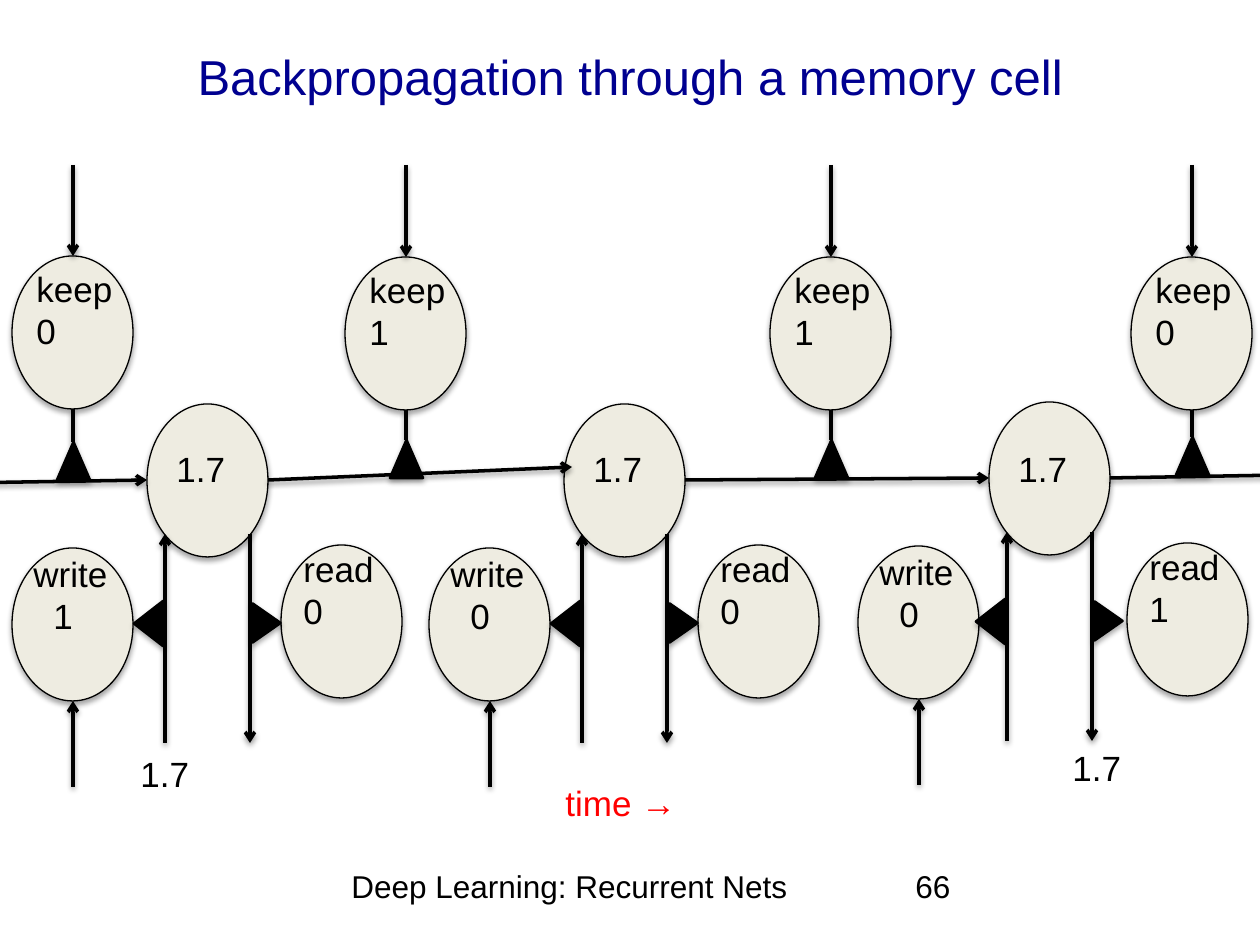
import dataclasses

import lxml.etree
import pptx
import pptx.dml.color
import pptx.enum.shapes
import pptx.enum.text
import pptx.oxml.ns
import pptx.util

SHAPE = pptx.enum.shapes.MSO_SHAPE
ALIGN = pptx.enum.text.PP_ALIGN
ANCHOR = pptx.enum.text.MSO_ANCHOR
FIT = pptx.enum.text.MSO_AUTO_SIZE
qn = pptx.oxml.ns.qn

EMU_PER_PX = 914400 / 126
NODE_WIDTH, NODE_HEIGHT = 121, 153
NODE_MIDDLE = 61


@dataclasses.dataclass(frozen=True)
class Theme:
    font: str = "Arial"
    title_color: str = "000090"
    ink: str = "000000"
    node_fill: str = "EEECE1"
    time_color: str = "FF0000"
    title_size: int = 28
    label_size: int = 20
    footer_size: int = 18
    node_line: float = 0.75
    gate_line: float = 1.5
    arrow_line: float = 2


def px(length):
    return pptx.util.Emu(round(length * EMU_PER_PX))


def rgb(color):
    return pptx.dml.color.RGBColor.from_string(color)


def format_text(para, text, *, font, size, color, align=ALIGN.LEFT, indent=0):
    para.alignment = align
    if indent:
        para._p.get_or_add_pPr().set("marL", str(px(indent)))
    span = para.add_run()
    span.text = text
    span.font.name = font
    span.font.size = pptx.util.Pt(size)
    span.font.color.rgb = rgb(color)


def add_shadow(item, color, distance, alpha):
    properties = item._element.spPr
    effects = properties.find(qn("a:effectLst"))
    if effects is None:
        effects = lxml.etree.SubElement(properties, qn("a:effectLst"))
    shadow = lxml.etree.SubElement(
        effects, qn("a:outerShdw"), blurRad="40000", dist=str(distance),
        dir="5400000", rotWithShape="0")
    tint = lxml.etree.SubElement(shadow, qn("a:srgbClr"), val=color)
    lxml.etree.SubElement(tint, qn("a:alpha"), val=str(alpha * 1000))


class MemoryCellSlide:
    """Draws the parts of an unrolled memory cell on one slide."""

    def __init__(self, page, theme):
        self.page = page
        self.theme = theme

    def text(self, lines, left, top, width, height, *, size=None, color=None,
             align=ALIGN.LEFT, anchor=ANCHOR.TOP, grow=True, last_indent=0):
        box = self.page.shapes.add_textbox(px(left), px(top), px(width), px(height))
        frame = box.text_frame
        frame.word_wrap = True
        frame.vertical_anchor = anchor
        frame.auto_size = FIT.SHAPE_TO_FIT_TEXT if grow else FIT.NONE
        for index, line in enumerate(lines):
            para = frame.add_paragraph() if index else frame.paragraphs[0]
            format_text(para, line, font=self.theme.font,
                        size=size or self.theme.label_size,
                        color=color or self.theme.ink, align=align,
                        indent=last_indent if index else 0)

    def shape(self, kind, left, top, width, height, *, fill, line, rotation=0):
        shape = self.page.shapes.add_shape(kind, px(left), px(top), px(width), px(height))
        shape.rotation = rotation
        shape.fill.solid()
        shape.fill.fore_color.rgb = rgb(fill)
        shape.line.color.rgb = rgb(self.theme.ink)
        shape.line.width = pptx.util.Pt(line)
        shape.shadow.inherit = False
        add_shadow(shape, self.theme.ink, 23000, 35)

    def node(self, left, top):
        self.shape(SHAPE.OVAL, left, top, NODE_WIDTH, NODE_HEIGHT,
                   fill=self.theme.node_fill, line=self.theme.node_line)

    def triangle(self, left, top, width, height, rotation=0):
        self.shape(SHAPE.ISOSCELES_TRIANGLE, left, top, width, height,
                   fill=self.theme.ink, line=self.theme.gate_line, rotation=rotation)

    def line(self, start, end, arrow=True):
        line = self.page.shapes.add_connector(
            pptx.enum.shapes.MSO_CONNECTOR.STRAIGHT,
            *(px(value) for value in (*start, *end)))
        line.line.color.rgb = rgb(self.theme.ink)
        line.line.width = pptx.util.Pt(self.theme.arrow_line)
        if arrow:
            outline = line._element.spPr.find(qn("a:ln"))
            lxml.etree.SubElement(outline, qn("a:tailEnd"), type="arrow")
        add_shadow(line, self.theme.ink, 20000, 38)

    def memory_cell(self, left, top, write, read, gate_shift=0):
        write_left = left - 135 + gate_shift
        read_left = left + 134 + gate_shift
        self.node(left, top)
        self.line((left + 18, top + 339), (left + 18, top + 130))
        self.line((left + 103, top + 130), (left + 103, top + 339))
        self.node(read_left, top + 141)
        self.node(write_left, top + 144)
        self.text(["read", read], read_left + 10, top + 137, 142, 97)
        self.text(["write", write], write_left + 9, top + 142, 101, 97, last_indent=20)
        self.triangle(left + 100, top + 205, 39, 28, rotation=90)
        self.triangle(left - 21, top + 205, 45, 29, rotation=270)
        self.text(["1.7"], left + 17, 441, 87, 55)
        entry = write_left + NODE_MIDDLE
        self.line((entry, top + 383), (entry, top + 297))

    def keep_gate(self, left, top, triangle_top, keep):
        middle = left + NODE_MIDDLE
        self.node(left, top)
        self.text(["keep", keep], left + 12, top + 5, 110, 97)
        self.triangle(left + 45, triangle_top, 33, 38)
        self.line((middle, triangle_top), (middle, top + NODE_HEIGHT), arrow=False)
        self.line((middle, 165), (middle, top))


def main():
    theme = Theme()
    deck = pptx.Presentation()
    deck.slide_width, deck.slide_height = px(1260), px(945)
    slide = MemoryCellSlide(deck.slides.add_slide(deck.slide_layouts[6]), theme)

    slide.text(["Backpropagation through a memory cell"], 63, -3, 1134, 158,
               size=theme.title_size, color=theme.title_color,
               align=ALIGN.CENTER, anchor=ANCHOR.MIDDLE, grow=False)

    slide.memory_cell(989, 402, write="0", read="1", gate_shift=4)
    slide.memory_cell(564, 404, write="0", read="0")
    slide.memory_cell(147, 404, write="1", read="0")

    for left, top in ((1060, 740), (128, 746)):
        slide.text(["1.7"], left, top, 119, 55)

    for start, end in (((-38, 483), (147, 480)), ((268, 480), (572, 467)),
                       ((685, 480), (989, 478)), ((1110, 478), (1283, 475))):
        slide.line(start, end)

    for left, top, triangle_top, keep in ((12, 256, 442, "0"), (345, 257, 440, "1"),
                                          (770, 257, 440, "1"), (1131, 257, 437, "0")):
        slide.keep_gate(left, top, triangle_top, keep)

    slide.text(["time →"], 553, 775, 242, 55, color=theme.time_color)
    for label, left, width in (("Deep Learning: Recurrent Nets", 339, 491),
                               ("66", 903, 294)):
        slide.text([label], left, 861, width, 66, size=theme.footer_size, grow=False)

    deck.save("out.pptx")


if __name__ == "__main__":
    main()
